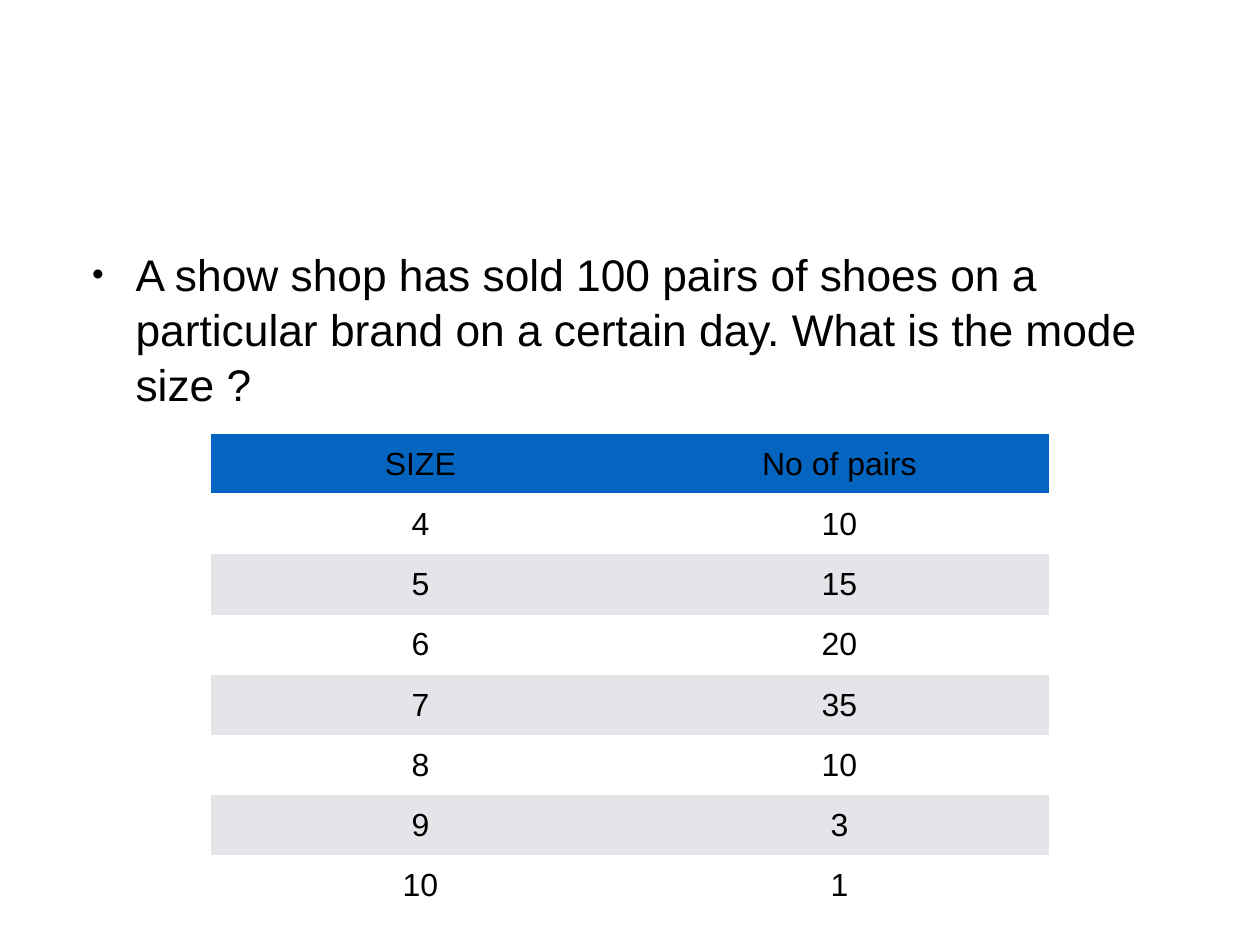
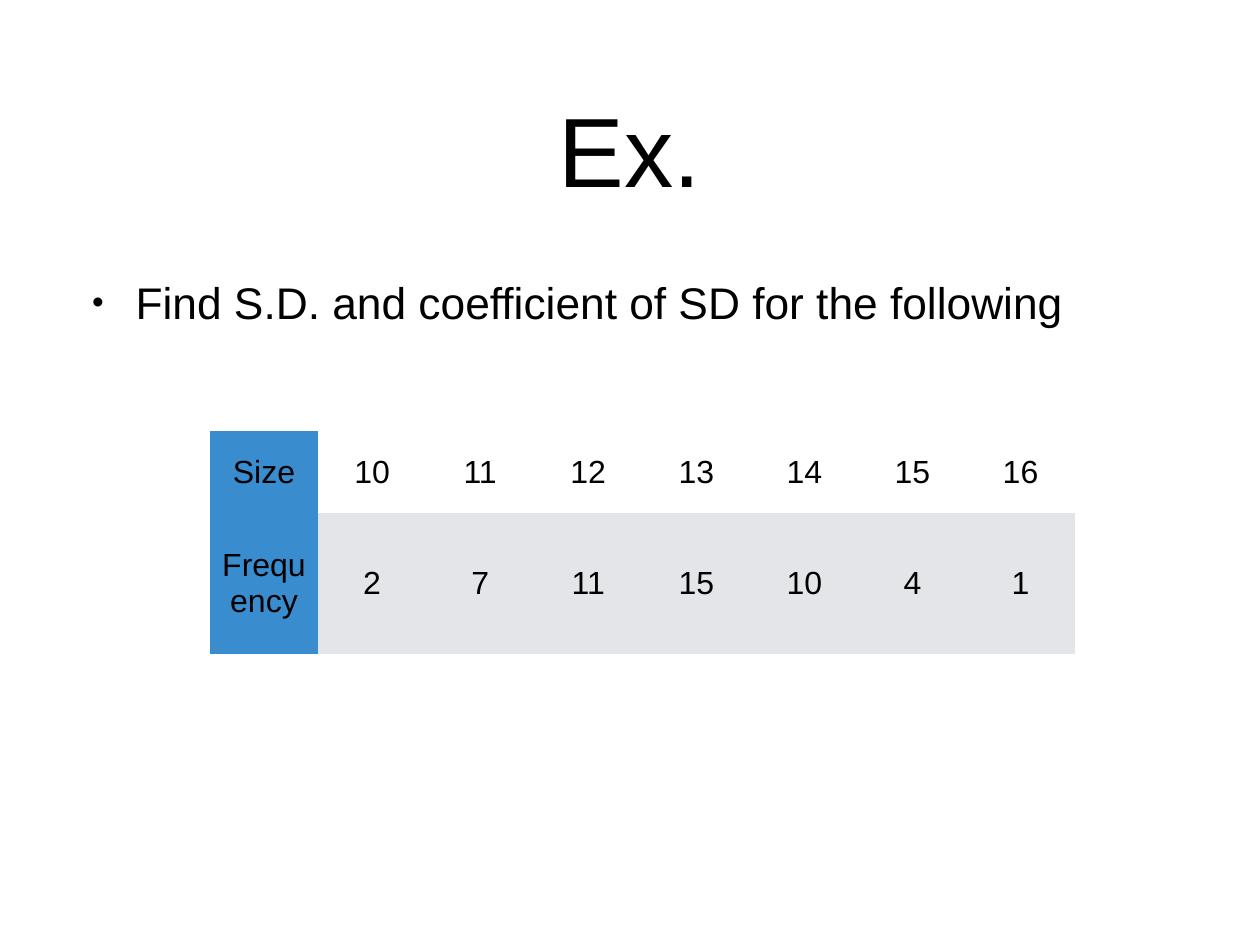
from lxml import etree
from pptx import Presentation
from pptx.dml.color import RGBColor
from pptx.enum.text import MSO_ANCHOR, MSO_AUTO_SIZE, PP_ALIGN
from pptx.oxml.ns import qn
from pptx.util import Inches, Pt

MIDDLE = MSO_ANCHOR.MIDDLE
NO_FIT = MSO_AUTO_SIZE.NONE
LEFT = PP_ALIGN.LEFT
CENTER = PP_ALIGN.CENTER

FONT = "Arial"
COLORS = {
    "text": "000000",
    "header_row": "0365C0",
    "header_column": "398CCE",
    "plain": "FFFFFF",
    "band": "E3E5E8",
}
PLAIN_TABLE_STYLE = "{2D5ABB26-0587-4C30-8999-92F81FD0307C}"
SIDES = ("left", "top", "width", "height")
MARGINS = ("margin_left", "margin_top", "margin_right", "margin_bottom")
FRAME_FORMAT = {
    "word_wrap": True,
    "auto_size": NO_FIT,
    "vertical_anchor": MIDDLE,
    **dict.fromkeys(MARGINS, 0),
}
CELL_FORMAT = {
    "vertical_anchor": MIDDLE,
    **dict.fromkeys(MARGINS, Inches(0.05)),
}

TITLE_BOX = (1.04, 0.49, 12.14, 2.36)
SHOE_SALES = [
    ("SIZE", "No of pairs"),
    (4, 10), (5, 15), (6, 20), (7, 35), (8, 10), (9, 3), (10, 1),
]
SIZE_FREQUENCIES = [
    ("Size", 10, 11, 12, 13, 14, 15, 16),
    ("Frequency", 2, 7, 11, 15, 10, 4, 1),
]


def apply_format(target, values):
    for name, value in values.items():
        setattr(target, name, value)


def write_text(frame, text, size, align):
    frame.text = text
    paragraph = frame.paragraphs[0]
    paragraph.alignment = align
    font = paragraph.runs[0].font
    apply_format(font, {"name": FONT, "size": Pt(size), "bold": False})
    font.color.rgb = RGBColor.from_string(COLORS["text"])
    return paragraph


def fill_placeholder(placeholder, box, text, size, align):
    apply_format(placeholder, dict(zip(SIDES, map(Inches, box))))
    apply_format(placeholder.text_frame, FRAME_FORMAT)
    return write_text(placeholder.text_frame, text, size, align)


def add_title(slide, text):
    if text:
        fill_placeholder(slide.shapes.title, TITLE_BOX, text, 80, CENTER)
    else:
        title = slide.shapes.title.element
        title.getparent().remove(title)


def add_question(slide, box, text):
    question = fill_placeholder(slide.placeholders[1], box, text, 36, LEFT)
    question.space_before = Pt(42)
    question.line_spacing = 1.04
    properties = question._p.get_or_add_pPr()
    properties.set("marL", str(Inches(0.49)))
    properties.set("indent", str(-Inches(0.49)))
    for tag, name, value in (
        ("a:buSzPct", "val", "75000"),
        ("a:buFont", "typeface", FONT),
        ("a:buChar", "char", "•"),
    ):
        etree.SubElement(properties, qn(tag)).set(name, value)


def add_bottom_border(cell, color, points):
    border = etree.Element(qn("a:lnB"), w=str(Pt(points)))
    solid = etree.SubElement(border, qn("a:solidFill"))
    etree.SubElement(solid, qn("a:srgbClr"), val=color)
    cell._tc.get_or_add_tcPr().insert(0, border)


def sales_fill(row, column):
    if row == 0:
        return "header_row"
    return "plain" if row % 2 else "band"


def frequency_fill(row, column):
    if column == 0:
        return "header_column"
    return "band" if row % 2 else "plain"


def add_data_table(slide, left, top, column_width, row_heights, data, choose_fill):
    columns = len(data[0])
    table = slide.shapes.add_table(
        len(data), columns, Inches(left), Inches(top),
        Inches(column_width * columns), Inches(sum(row_heights)),
    ).table
    table._tbl.tblPr.find(qn("a:tableStyleId")).text = PLAIN_TABLE_STYLE
    apply_format(table, {"first_row": False, "horz_banding": False})
    for column in table.columns:
        column.width = Inches(column_width)
    for row, height in zip(table.rows, row_heights):
        row.height = Inches(height)
    for r, values in enumerate(data):
        for c, value in enumerate(values):
            cell = table.cell(r, c)
            apply_format(cell, CELL_FORMAT)
            write_text(cell.text_frame, str(value), 26, CENTER)
            fill = choose_fill(r, c)
            cell.fill.solid()
            cell.fill.fore_color.rgb = RGBColor.from_string(COLORS[fill])
            if fill == "header_row":
                add_bottom_border(cell, COLORS["plain"], 3)


def add_exercise(deck, title, question_top, question, **table):
    slide = deck.slides.add_slide(deck.slide_layouts[1])
    add_title(slide, title)
    add_question(slide, (1.04, question_top, 12.14, 6.88), question)
    add_data_table(slide, **table)


def main():
    deck = Presentation()
    deck.slide_width, deck.slide_height = Inches(14.22), Inches(10.67)
    add_exercise(
        deck, None, 0.26,
        "A show shop has sold 100 pairs of shoes on a particular brand "
        "on a certain day. What is the mode size ?",
        left=2.38, top=4.9, column_width=4.73,
        row_heights=[0.68] * len(SHOE_SALES),
        data=SHOE_SALES, choose_fill=sales_fill,
    )
    add_exercise(
        deck, "Ex.", -0.04,
        "Find S.D. and coefficient of SD for the following",
        left=2.37, top=4.87, column_width=1.22, row_heights=[0.92, 1.59],
        data=SIZE_FREQUENCIES, choose_fill=frequency_fill,
    )
    deck.save("out.pptx")


if __name__ == "__main__":
    main()
